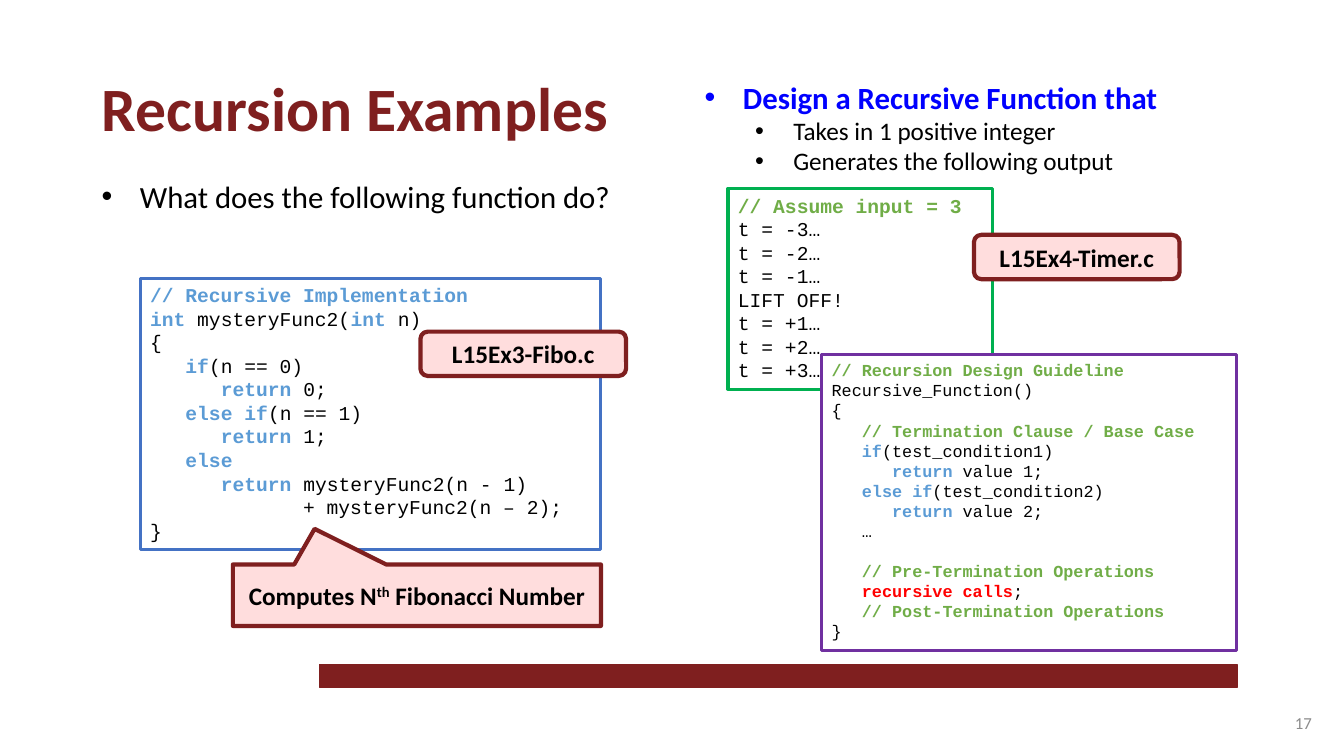
import pptx
import pptx.util
import pptx.dml.color
import pptx.enum.shapes
import pptx.enum.text
import pptx.oxml.ns
from dataclasses import dataclass
from lxml import etree

Inches, Pt = pptx.util.Inches, pptx.util.Pt
SHAPE = pptx.enum.shapes.MSO_SHAPE
ALIGN = pptx.enum.text.PP_ALIGN
ANCHOR = pptx.enum.text.MSO_ANCHOR


@dataclass(frozen=True)
class Theme:
    sans: str = "Calibri"
    mono: str = "Courier New"
    maroon: str = "7F1F1F"
    pink: str = "FFDDDD"
    white: str = "FFFFFF"
    black: str = "000000"
    gray: str = "8C8C8C"
    blue: str = "0000FF"
    keyword: str = "5B9BD5"
    comment: str = "70AD47"
    red: str = "FF0000"
    fibo_frame: str = "4472C4"
    timer_frame: str = "00B050"
    guide_frame: str = "7030A0"
    title: int = 44
    lead: int = 22
    body: int = 18
    code: int = 14
    small: int = 12


T = Theme()

# In code lines, every second part between bars is highlighted.
FIBO_CODE = """|// Recursive Implementation|
|int| mysteryFunc2(|int| n)
{
   |if|(n == 0)
      |return| 0;
   |else if|(n == 1)
      |return| 1;
   |else|
      |return| mysteryFunc2(n - 1)
             + mysteryFunc2(n – 2);
}"""

TIMER_OUTPUT = """|// Assume input = 3|
t = -3…
t = -2…
t = -1…
LIFT OFF!
t = +1…
t = +2…
t = +3…"""

GUIDE_CODE = """|// Recursion Design Guideline|
Recursive_Function()
{
   |// Termination Clause / Base Case|
   |if|(test_condition1)
      |return| value 1;
   |else if|(test_condition2)
      |return| value 2;
   …
   |// Pre-Termination Operations|
   |recursive calls|;
   |// Post-Termination Operations|
}"""


def rgb(color):
    return pptx.dml.color.RGBColor.from_string(color)


def add_run(p, text, size, color=T.black, bold=False, font=T.sans):
    r = p.add_run()
    r.text = text
    for name, value in dict(name=font, size=Pt(size), bold=bold).items():
        setattr(r.font, name, value)
    r.font.color.rgb = rgb(color)
    return r


def add_panel(s, box, fill, line, width, kind=SHAPE.RECTANGLE):
    sp = s.shapes.add_shape(kind, *map(Inches, box))
    sp.shadow.inherit = False
    sp.fill.solid()
    sp.fill.fore_color.rgb = rgb(fill)
    sp.line.color.rgb = rgb(line)
    sp.line.width = Pt(width)
    return sp


def add_text_box(s, box):
    tf = s.shapes.add_textbox(*map(Inches, box)).text_frame
    tf.word_wrap = True
    return tf


def add_title(s, box, text):
    sp = s.shapes.title
    for name, value in zip(("left", "top", "width", "height"), box):
        setattr(sp, name, Inches(value))
    tf = sp.text_frame
    tf.auto_size = pptx.enum.text.MSO_AUTO_SIZE.NONE
    tf.vertical_anchor = ANCHOR.TOP
    tf.paragraphs[0].alignment = ALIGN.LEFT
    add_run(tf.paragraphs[0], text, T.title, T.maroon, True)


def add_bullets(s, box, items):
    """Each item is (level, text, run format)."""
    tf = add_text_box(s, box)
    for i, (level, text, fmt) in enumerate(items):
        p = tf.add_paragraph() if i else tf.paragraphs[0]
        p.level = level
        pPr = p._p.get_or_add_pPr()
        pPr.set("marL", str(Inches(0.38 + 0.5 * level)))
        pPr.set("indent", str(Inches(-0.38)))
        for tag, attr, value in (("a:buFont", "typeface", "Arial"), ("a:buChar", "char", "•")):
            etree.SubElement(pPr, pptx.oxml.ns.qn(tag)).set(attr, value)
        add_run(p, text, **fmt)


def add_code(s, box, code, frame, size, comment=T.comment):
    tf = add_panel(s, box, T.white, frame, 2.25).text_frame
    tf.word_wrap = True
    tf.vertical_anchor = ANCHOR.TOP
    for i, line in enumerate(code.split("\n")):
        p = tf.add_paragraph() if i else tf.paragraphs[0]
        p.alignment = ALIGN.LEFT
        if "Pre-Termination" in line:
            p.space_before = Pt(13.6)
        for j, part in enumerate(line.split("|")):
            if not part:
                continue
            color = T.keyword if j % 2 else T.black
            if part.startswith("//"):
                color = comment
            elif part == "recursive calls":
                color = T.red
            add_run(p, part, size, color, bool(j % 2), T.mono)


def add_label(s, box, parts, kind=SHAPE.ROUNDED_RECTANGLE):
    """Pink label; every second part is superscript."""
    sp = add_panel(s, box, T.pink, T.maroon, 3, kind)
    tf = sp.text_frame
    tf.word_wrap = True
    tf.vertical_anchor = ANCHOR.MIDDLE
    p = tf.paragraphs[0]
    p.alignment = ALIGN.CENTER
    for i, part in enumerate(parts):
        r = add_run(p, part, T.body, bold=True)
        if i % 2:
            r.font._element.set("baseline", "30000")
    return sp


def add_footer(s, bar, number_box, number):
    add_panel(s, bar, T.maroon, T.maroon, 1)
    tf = add_text_box(s, number_box)
    tf.vertical_anchor = ANCHOR.MIDDLE
    tf.paragraphs[0].alignment = ALIGN.RIGHT
    add_run(tf.paragraphs[0], number, T.small, T.gray)


def add_fibonacci(s, x, y):
    add_bullets(s, (x, y, 5.53, 0.5),
                [(0, "What does the following function do?", dict(size=T.lead))])
    add_code(s, (x + 0.48, y + 1.05, 4.57, 2.69), FIBO_CODE, T.fibo_frame, T.code, T.keyword)
    add_label(s, (x + 3.26, y + 1.58, 2.04, 0.44), ["L15Ex3-Fibo.c"])
    callout = add_label(s, (x + 1.4, y + 3.89, 3.65, 0.61),
                        ["Computes N", "th", " Fibonacci Number"], SHAPE.RECTANGULAR_CALLOUT)
    callout.adjustments[0], callout.adjustments[1] = -0.278, -1.08


def add_timer(s, x, y):
    sub = dict(size=T.body)
    add_bullets(s, (x, y, 5.53, 1.1), [
        (0, "Design a Recursive Function that", dict(size=T.lead, color=T.blue, bold=True)),
        (1, "Takes in 1 positive integer", sub),
        (1, "Generates the following output", sub)])
    add_code(s, (x + 0.33, y + 1.14, 2.62, 1.99), TIMER_OUTPUT, T.timer_frame, T.code)
    add_code(s, (x + 1.26, y + 2.79, 4.11, 2.93), GUIDE_CODE, T.guide_frame, T.small)
    add_label(s, (x + 2.77, y + 1.6, 2.04, 0.44), ["L15Ex4-Timer.c"])


def main():
    prs = pptx.Presentation()
    prs.slide_width, prs.slide_height = Inches(13.33), Inches(7.5)
    s = prs.slides.add_slide(prs.slide_layouts[5])
    add_footer(s, (3.17, 6.59, 9.1, 0.23), (10.11, 6.97, 3, 0.4), "17")
    add_title(s, (0.91, 0.64, 7.89, 0.84), "Recursion Examples")
    add_fibonacci(s, 0.91, 1.71)
    add_timer(s, 6.89, 0.73)
    prs.save("out.pptx")


if __name__ == "__main__":
    main()
